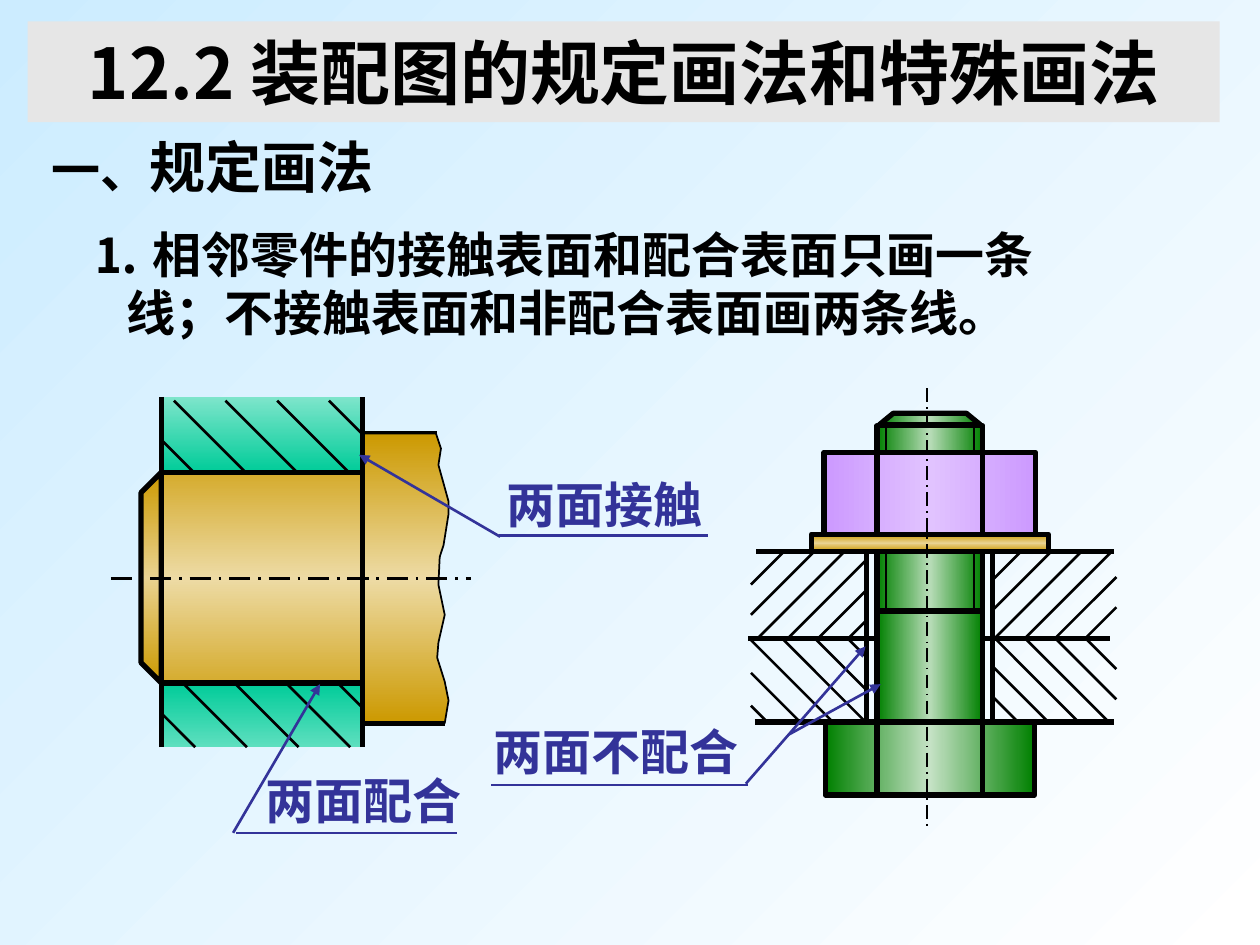
"""Build a slide on the prescribed drawing rules for assembly drawings."""
from copy import deepcopy
from dataclasses import dataclass

from lxml import etree
from pptx import Presentation, util as u
from pptx.dml.color import RGBColor
from pptx.enum import dml, shapes, text
from pptx.oxml.ns import qn


@dataclass(frozen=True)
class Theme:
    face: str = "Noto Sans CJK SC"
    ink: str = "000000"
    note: str = "333399"
    banner: str = "E6E6E6"
    sky: tuple = ("CCECFF", "FFFFFF")
    shank: tuple = ("008000", "B8DCB8", "008000")
    bolt_head: tuple = ("008000", "C5E2C5", "008000")
    nut: tuple = ("CC99FF", "E1C3FF", "CC99FF")
    brass: tuple = ("CC9900", "E9D391", "CC9900")
    shaft: tuple = ("CC9900", "EDDBA5", "CC9900")
    upper_sleeve: tuple = ("7EE5CB", "00CC99")
    lower_sleeve: tuple = ("00CC99", "5EDFBF")
    title_size: int = 40
    heading_size: int = 32
    body_size: int = 28
    thick: float = 3
    medium: float = 1.5
    thin: float = 1


theme = Theme()
deck = Presentation()
deck.slide_width, deck.slide_height = u.Inches(10), u.Inches(7.5)
slide = deck.slides.add_slide(deck.slide_layouts[5])


def blend(fill, colours, angle):
    fill.gradient()
    fill.gradient_angle = (360 - angle) % 360
    stop_list = fill.gradient_stops[0]._gs.getparent()
    for _ in colours[2:]:
        stop_list.append(deepcopy(stop_list[-1]))
    for i, (stop, colour) in enumerate(zip(fill.gradient_stops, colours)):
        stop.color.rgb = RGBColor.from_string(colour)
        stop.position = i / (len(colours) - 1)


def stroke(ends, colour, weight, dashed=False, arrow=False):
    connector = slide.shapes.add_connector(
        shapes.MSO_CONNECTOR.STRAIGHT, *(u.Inches(v) for v in ends))
    connector.line.color.rgb = RGBColor.from_string(colour)
    connector.line.width = u.Pt(weight)
    if dashed:
        connector.line.dash_style = dml.MSO_LINE.LONG_DASH_DOT
    if arrow:
        etree.SubElement(connector.line._get_or_add_ln(), qn("a:headEnd"), type="triangle")
    etree.SubElement(connector._element.spPr, qn("a:effectLst"))


blend(slide.background.fill, theme.sky, 45)

bolt_x, shank_half, thread_half, hole_half = 7.38, 0.42, 0.35, 0.5
bolt_top, thread_end, bolt_bottom = 3.38, 4.85, 6.31
nut_top, washer_top, plate_top, plate_joint, plate_bottom = 3.59, 4.24, 4.38, 5.07, 5.73
plate_left, plate_right = 5.96, 8.86
shank_sides, thread_sides, hole_sides = [
    (bolt_x - half, bolt_x + half) for half in (shank_half, thread_half, hole_half)]
bolt_chamfer = [(bolt_x + dx, y) for dx, y in
                [(-0.4, 3.37), (0.4, 3.37), (0.29, 3.28), (-0.29, 3.28), (-0.4, 3.37)]]

sleeve_left, shoulder, shaft_y = 1.28, 2.88, 4.59
sleeve_top, bore_top, bore_bottom, sleeve_bottom = 3.15, 3.75, 5.42, 5.93
collar_top, collar_bottom, chamfer_depth = 3.44, 5.74, 0.16
shaft_end = sleeve_left - chamfer_depth
shaft_chamfer = [(sleeve_left, bore_bottom), (shaft_end, bore_bottom - chamfer_depth),
                 (shaft_end, bore_top + chamfer_depth), (sleeve_left, bore_top),
                 (sleeve_left, bore_bottom)]
broken_edge = [
    (3.46, collar_top), (3.5, 3.56), (3.48, 3.69), (3.56, 3.98), (3.56, 4.08), (3.52, 4.33),
    (3.49, 4.42), (3.48, 4.64), (3.53, 4.88), (3.48, 5.1), (3.47, 5.22), (3.53, 5.41),
    (3.56, 5.56), (3.53, collar_bottom)]
shaft_body = broken_edge + [
    (shoulder, collar_bottom), (shoulder, bore_bottom), (sleeve_left, bore_bottom),
    (sleeve_left, bore_top), (shoulder, bore_top), (shoulder, collar_top), broken_edge[0]]
upper_sleeve, lower_sleeve = [
    [(sleeve_left, outer), (sleeve_left, bore), (shoulder, bore), (shoulder, outer)]
    for outer, bore in [(sleeve_top, bore_top), (sleeve_bottom, bore_bottom)]]

falling, rising = 1, -1
hatched_regions = [
    (plate_left, plate_top, hole_sides[0], plate_joint, rising, 10.6, 0.24, 6),
    (hole_sides[1], plate_top, plate_right, plate_joint, rising, 12.48, 0.24, 6),
    (plate_left, plate_joint, hole_sides[0], plate_bottom, falling, 0.36, 0.26, 6),
    (hole_sides[1], plate_joint, plate_right, plate_bottom, falling, 2.35, 0.24, 6),
    (sleeve_left, sleeve_top + 0.03, shoulder, bore_top, falling, -2.21, 0.41, 5),
    (sleeve_left, bore_bottom, shoulder, sleeve_bottom, falling, -4.38, 0.41, 5),
]
hatching = []
for left, top, right, bottom, slope, first, pitch, count in hatched_regions:
    for i in range(count):
        offset = first + i * pitch
        x_ends = [min(max(offset + slope * y, left), right) for y in (top, bottom)]
        y_ends = [slope * (x - offset) for x in x_ends]
        hatching.append((x_ends[0], y_ends[0], x_ends[1], y_ends[1]))
plate_hatching, sleeve_hatching = hatching[:24], hatching[24:]

nut, washer, bolt_head, shank = [
    (bolt_x - half, top, 2 * half, bottom - top) for half, top, bottom in
    [(0.84, nut_top, washer_top), (0.94, washer_top, plate_top),
     (0.83, plate_bottom, bolt_bottom), (shank_half, bolt_top, plate_bottom)]]

parts = [
    ("lines", [(6, plate_top, 8.84, plate_top),
               (5.94, plate_joint, 8.81, plate_joint)], theme.thick),
    ("box", shank, theme.shank, 0, theme.thick),
    ("lines", [(5.99, plate_bottom, 8.84, plate_bottom)], theme.thick),
    ("lines", [(x, plate_top, x, plate_bottom) for x in hole_sides], theme.thick),
    ("lines", [(shank_sides[0], thread_end, shank_sides[1], thread_end)], theme.thick),
    ("lines", [(x, 3.32, x, thread_end) for x in thread_sides], theme.thin),
    ("lines", plate_hatching, theme.medium),
    ("box", nut, theme.nut, 0, theme.thick),
    ("box", washer, theme.brass, 90, theme.thick),
    ("lines", [(x, nut_top, x, washer_top) for x in shank_sides], theme.thick),
    ("box", bolt_head, theme.bolt_head, 0, theme.thick),
    ("lines", [(x, plate_bottom, x, bolt_bottom) for x in shank_sides], theme.thick),
    ("outline", bolt_chamfer, theme.shank, 0, theme.thick),
    ("lines", [(7.36, 3.08, 7.36, 6.57)], theme.thin, True),
    ("lines", [(shoulder, collar_top, 3.47, collar_top)], theme.thick),
    ("outline", shaft_chamfer, theme.brass, 90, theme.thick),
    ("outline", shaft_body, theme.shaft, 90, theme.thin),
    ("outline", lower_sleeve, theme.lower_sleeve, 90, theme.thick),
    ("outline", upper_sleeve, theme.upper_sleeve, 90, theme.thick),
    ("lines", [(x, 3.18, x, 5.9) for x in (sleeve_left, shoulder)], theme.thick),
    ("lines", [(sleeve_left, y, shoulder, y) for y in (bore_top, bore_bottom)], theme.thick),
    ("lines", sleeve_hatching, theme.medium),
    ("lines", [(0.88, shaft_y, 3.74, shaft_y)], theme.medium, True),
    ("lines", [(shoulder, collar_bottom, 3.53, collar_bottom)], theme.thick),
]
for kind, geometry, *style in parts:
    if kind == "lines":
        for ends in geometry:
            stroke(ends, theme.ink, *style)
        continue
    if kind == "box":
        part = slide.shapes.add_shape(
            shapes.MSO_SHAPE.RECTANGLE, *(u.Inches(v) for v in geometry))
    else:
        corners = [(u.Inches(x), u.Inches(y)) for x, y in geometry]
        builder = slide.shapes.build_freeform(*corners[0])
        builder.add_line_segments(corners[1:], close=corners[0] == corners[-1])
        part = builder.convert_to_shape()
    colours, angle, weight = style
    blend(part.fill, colours, angle)
    part.line.color.rgb = RGBColor.from_string(theme.ink)
    part.line.width = u.Pt(weight)
    part.shadow.inherit = False

title = slide.shapes.title
title.fill.solid()
title.fill.fore_color.rgb = RGBColor.from_string(theme.banner)
heading, rule = [slide.shapes.add_textbox(0, 0, 0, 0) for _ in range(2)]
wordings = [
    (title, (0.22, 0.17, 9.46, 0.8), ["12.2 装配图的规定画法和特殊画法"], theme.title_size, theme.ink),
    (heading, (0.31, 1, 2.75, 0.64), ["一、", "规定画法"], theme.body_size, theme.ink),
    (rule, (0.55, 1.73, 7.96, 1.04),
     ["⒈ 相邻零件的接触表面和配合表面只画一条线；不接触表面和非配合表面画两条线。"],
     theme.body_size, theme.ink),
]
callouts = [
    ("两面不配合", (3.82, 5.68, 2.14, 0.57), (3.9, 6.23, 5.94, 6.23),
     [(6.87, 5.13, 5.92, 6.22), (6.99, 5.43, 6.26, 5.83)]),
    ("两面配合", (2.01, 6.07, 1.75, 0.57), (1.87, 6.61, 3.63, 6.61), [(2.54, 5.43, 1.85, 6.61)]),
    ("两面接触", (3.92, 3.72, 1.75, 0.57), (3.96, 4.25, 5.62, 4.25), [(2.85, 3.61, 3.97, 4.26)]),
]
for words, place, underline, leaders in callouts:
    stroke(underline, theme.note, theme.medium)
    for leader in leaders:
        stroke(leader, theme.note, theme.medium, arrow=True)
    label = slide.shapes.add_textbox(0, 0, 0, 0)
    wordings.append((label, place, [words], theme.body_size, theme.note))

for holder, place, runs, size, colour in wordings:
    holder.left, holder.top, holder.width, holder.height = (u.Inches(v) for v in place)
    frame = holder.text_frame
    frame.auto_size = text.MSO_AUTO_SIZE.NONE
    frame.word_wrap = holder in (title, rule)
    paragraph = frame.paragraphs[0]
    for words in runs:
        paragraph.add_run().text = words
    font = paragraph.font
    font.size, font.bold, font.name = u.Pt(size), True, theme.face
    font.color.rgb = RGBColor.from_string(colour)
    etree.SubElement(font._rPr, qn("a:ea"), typeface=theme.face)

title.text_frame.vertical_anchor = text.MSO_ANCHOR.MIDDLE
title.text_frame.paragraphs[0].alignment = text.PP_ALIGN.CENTER
heading.text_frame.paragraphs[0].runs[1].font.size = u.Pt(theme.heading_size)
hanging = rule.text_frame.paragraphs[0]._p.get_or_add_pPr()
hanging.set("marL", str(u.Inches(0.36)))
hanging.set("indent", str(u.Inches(-0.27)))

deck.save("out.pptx")
